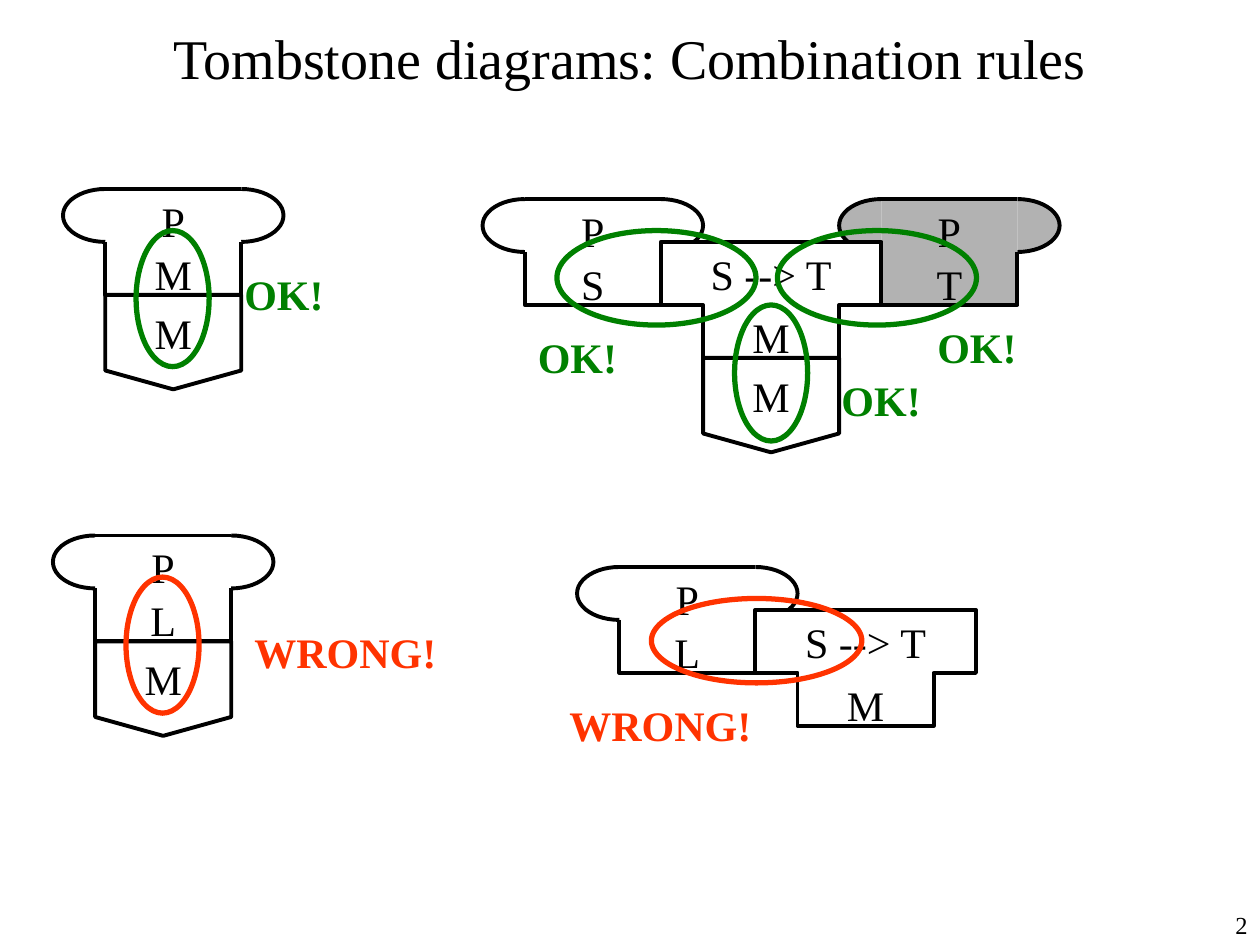
import math

from lxml import etree
from pptx import Presentation
from pptx.dml.color import RGBColor
from pptx.enum import shapes as kinds, text
from pptx.oxml.ns import qn
from pptx.util import Inches, Pt

BLACK = RGBColor(0x00, 0x00, 0x00)
WHITE = RGBColor(0xFF, 0xFF, 0xFF)
GREY = RGBColor(0xB2, 0xB2, 0xB2)
GREEN = RGBColor(0x00, 0x80, 0x00)
RED = RGBColor(0xFF, 0x33, 0x00)

FONT = "Times New Roman"
WIDE, BODY = 1.75, 1.08          # widths of a tombstone's head and body
CAP = (WIDE - BODY) / 2          # overhang on either side of the body
ROW = 0.42                       # height of a program's head or body
HEAD = 0.5                       # height of a translator's head
TEXT_H = 0.5


def write(shape, words, size=24, color=BLACK, bold=False,
          align=text.PP_ALIGN.CENTER, anchor=text.MSO_ANCHOR.TOP, wrap=True):
    frame = shape.text_frame
    frame.text = words
    frame.word_wrap = wrap
    frame.vertical_anchor = anchor
    paragraph = frame.paragraphs[0]
    paragraph.alignment = align
    font = paragraph.runs[0].font
    font.name, font.size, font.bold = FONT, Pt(size), bold
    font.color.rgb = color


def label(parts, words, x, y, w, h=TEXT_H, **style):
    write(parts.add_textbox(Inches(x), Inches(y), Inches(w), Inches(h)),
          words, **style)


def paint(shape, fill=None, line=BLACK, width=2.25):
    shape.shadow.inherit = False
    if fill is None:
        shape.fill.background()
    else:
        shape.fill.solid()
        shape.fill.fore_color.rgb = fill
    if line is None:
        shape.line.fill.background()
    else:
        shape.line.color.rgb = line
        shape.line.width = Pt(width)


def outline(parts, points, fill=None, close=False):
    corners = [(Inches(x), Inches(y)) for x, y in points]
    builder = parts.build_freeform(*corners[0])
    builder.add_line_segments(corners[1:], close=close)
    paint(builder.convert_to_shape(), fill)


def program(parts, x, y, language, fill=None):
    """Round-headed tombstone: program P written in a language."""
    left, right = x + CAP, x + CAP + BODY
    middle, bottom = y + ROW, y + 2 * ROW

    # Rounded ends of the head
    for edge, side in ((left, -1), (right, 1)):
        angles = [math.pi * step / 24 for step in range(25)]
        outline(parts, [(edge + side * CAP * math.sin(a),
                         y + ROW / 2 * (1 + math.cos(a))) for a in angles], fill)
    if fill is not None:
        head = parts.add_shape(kinds.MSO_SHAPE.RECTANGLE, Inches(left),
                               Inches(y), Inches(BODY), Inches(TEXT_H))
        paint(head, fill, line=None)

    # Body and top edge
    outline(parts, [(left, middle), (left, bottom),
                    (right, bottom), (right, middle)], fill)
    top = parts.add_connector(kinds.MSO_CONNECTOR.STRAIGHT, Inches(left),
                              Inches(y), Inches(right), Inches(y))
    top.line.color.rgb = BLACK
    top.line.width = Pt(2.25)
    etree.SubElement(top._element.spPr, qn("a:effectLst"))

    label(parts, language, left, middle, BODY)
    label(parts, "P", x, y, WIDE)


def translator(parts, x, y):
    """T-shaped tombstone: S to T translator running on M."""
    left, right = x + CAP, x + CAP + BODY
    shoulder, bottom = y + HEAD, y + HEAD + ROW
    outline(parts, [(x, y), (x + WIDE, y), (x + WIDE, shoulder),
                    (right, shoulder), (right, bottom), (left, bottom),
                    (left, shoulder), (x, shoulder)], WHITE, close=True)
    label(parts, "S --> T", x, y, WIDE)
    label(parts, "M", left, shoulder, BODY)


def machine(parts, x, y):
    pentagon = parts.add_shape(kinds.MSO_SHAPE.FLOWCHART_OFFPAGE_CONNECTOR,
                               Inches(x), Inches(y), Inches(BODY), Inches(0.75))
    paint(pentagon, WHITE)
    write(pentagon, "M", anchor=text.MSO_ANCHOR.MIDDLE, wrap=False)


def verdict(slide, ok, label_at, ring_box):
    """Ring round two matching places, with its judgement beside it."""
    parts = slide.shapes.add_group_shape().shapes
    words, width, color = ("OK!", 0.85, GREEN) if ok else ("WRONG!", 1.75, RED)
    label(parts, words, *label_at, width, color=color, bold=True,
          align=text.PP_ALIGN.LEFT)
    ring = parts.add_shape(kinds.MSO_SHAPE.OVAL, *map(Inches, ring_box))
    paint(ring, line=color, width=3)


def execution(slide, x, y, language, ok, label_offset):
    """Program placed on a machine."""
    parts = slide.shapes.add_group_shape().shapes
    machine(parts, x + CAP, y + 2 * ROW)
    program(parts, x, y, language)
    dx, dy = label_offset
    verdict(slide, ok, (x + dx, y + dy), (x + 0.58, y + 0.33, 0.58, 1.08))


def full_translation(slide, x, y):
    """Source program, translator on a machine, and target program."""
    parts = slide.shapes.add_group_shape().shapes
    translator_x = x + CAP + BODY
    translator_y = y + 2 * ROW - HEAD
    program(parts, x, y, "S")
    program(parts, translator_x + WIDE - CAP, y, "T", GREY)
    translator(parts, translator_x, translator_y)
    machine(parts, translator_x + CAP, translator_y + HEAD + ROW)

    verdict(slide, True, (x + 0.34, y + 1), (x + 0.59, y + 0.25, 1.58, 0.75))
    verdict(slide, True, (x + 2.75, y + 1.34), (x + 2, y + 0.84, 0.58, 1.08))
    verdict(slide, True, (x + 3.51, y + 0.92), (x + 2.34, y + 0.25, 1.58, 0.75))


def failed_translation(slide, x, y):
    """Program in L offered to a translator that reads S."""
    parts = slide.shapes.add_group_shape().shapes
    program(parts, x, y, "L")
    translator(parts, x + CAP + BODY, y + 2 * ROW - HEAD)
    verdict(slide, False, (x - 0.16, y + 1), (x + 0.59, y + 0.25, 1.67, 0.67))


def heading(slide):
    label(slide.shapes, "Tombstone diagrams: Combination rules", 0.25, 0.08,
          9.5, 0.75, size=32, anchor=text.MSO_ANCHOR.MIDDLE)


def page_number(slide):
    label(slide.shapes, "2", 9.25, 7.17, 0.75, 0.33, size=14,
          align=text.PP_ALIGN.RIGHT)


def main():
    deck = Presentation()
    deck.slide_width, deck.slide_height = Inches(10), Inches(7.5)
    slide = deck.slides.add_slide(deck.slide_layouts[6])

    page_number(slide)
    heading(slide)
    full_translation(slide, 3.83, 1.58)
    failed_translation(slide, 4.58, 4.5)
    execution(slide, 0.5, 1.5, "M", True, (1.34, 0.58))
    execution(slide, 0.42, 4.25, "L", False, (1.5, 0.67))

    deck.save("out.pptx")


if __name__ == "__main__":
    main()
